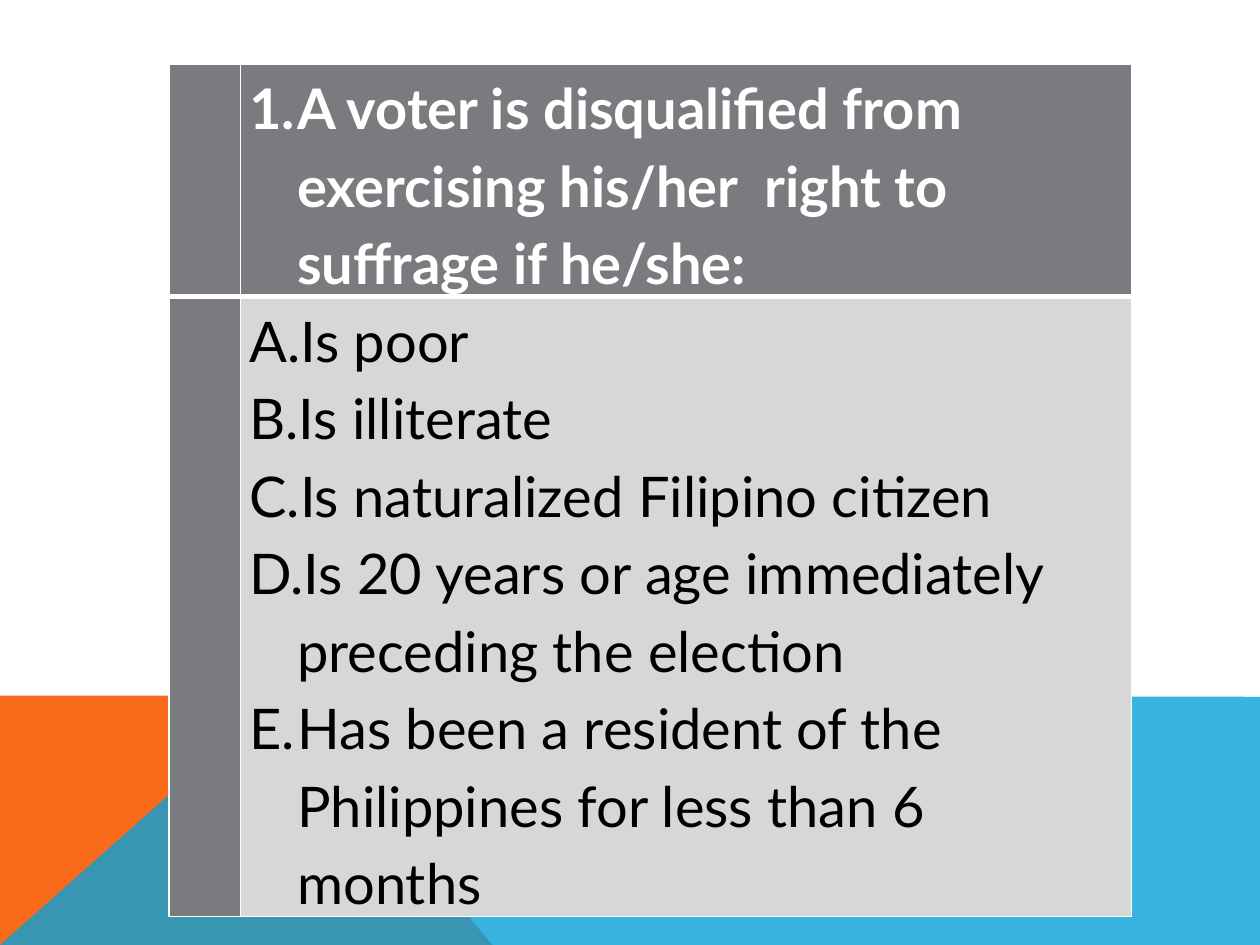
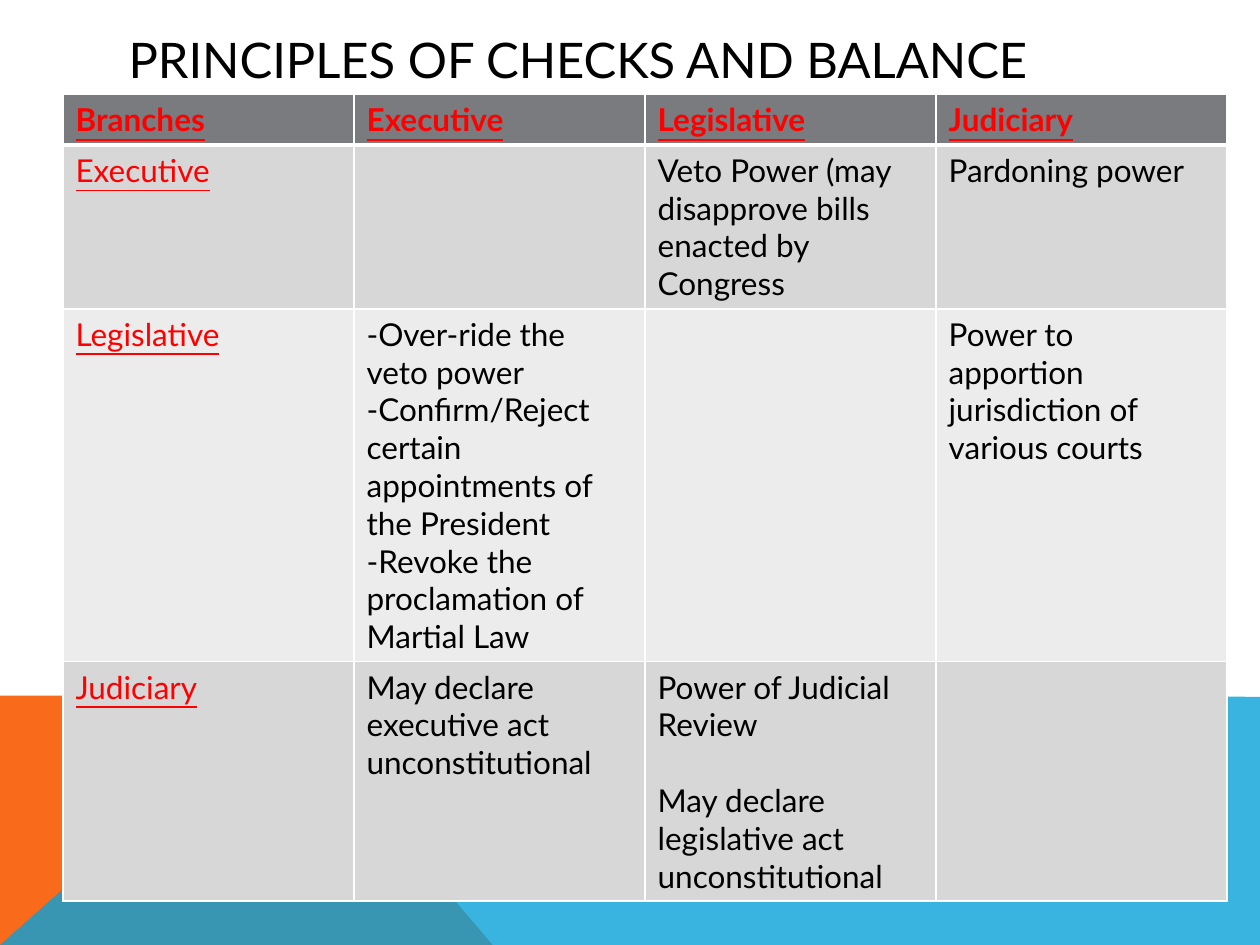
from dataclasses import dataclass
from typing import NamedTuple

from lxml.etree import SubElement
from pptx import Presentation
from pptx.dml.color import RGBColor
from pptx.enum.text import MSO_ANCHOR, MSO_AUTO_SIZE, PP_ALIGN
from pptx.oxml.ns import qn
from pptx.util import Inches, Pt


@dataclass(frozen=True)
class Theme:
    font: str = "Lato"
    white: str = "FFFFFF"
    black: str = "000000"
    red: str = "FF0000"
    head: str = "797B7E"
    dark: str = "D7D7D8"
    light: str = "ECECEC"
    orange: str = "F96A1B"
    blue: str = "08A1D9"
    title: int = 28
    quiz: int = 32
    body: int = 18
    thin: int = 1
    thick: int = 3


class Band(NamedTuple):
    color: str
    points: tuple
    alpha: int = 100


class Look(NamedTuple):
    size: int
    color: str
    bold: bool = False
    under: bool = False


class Grid(NamedTuple):
    left: float
    top: float
    cols: tuple
    rows: tuple


THEME = Theme()
BANDS = (
    Band(THEME.orange, ((0, 7.5), (0, 5.52), (2.23, 5.52), (3.91, 7.5))),
    Band(THEME.blue, ((0, 7.5), (2.23, 5.52), (10, 5.53), (10, 7.5)), 80),
)

# Slide text
ASK = ("A voter is disqualified from exercising his/her  right to suffrage if he/she:",)
CHOICES = (
    "Is poor",
    "Is illiterate",
    "Is naturalized Filipino citizen",
    "Is 20 years or age immediately preceding the election",
    "Has been a resident of the Philippines for less than 6 months",
)
POWERS = (
    (("Branches",), ("Executive",), ("Legislative",), ("Judiciary",)),
    (("Executive",), (),
     ("Veto Power (may disapprove bills enacted by Congress",),
     ("Pardoning power",)),
    (("Legislative",),
     ("-Over-ride the veto power",
      "-Confirm/Reject certain appointments of the President",
      "-Revoke the proclamation of Martial Law"),
     (),
     ("Power to apportion jurisdiction of various courts",)),
    (("Judiciary",),
     ("May declare executive act unconstitutional",),
     ("Power of Judicial Review",
      "May declare legislative act unconstitutional"),
     ()),
)


def rgb(color: str) -> RGBColor:
    return RGBColor.from_string(color)


def style(par, look: Look) -> None:
    font = par.font
    font.name, font.size = THEME.font, Pt(look.size)
    font.bold, font.underline = look.bold, look.under
    font.color.rgb = rgb(look.color)


def add_bands(slide) -> None:
    for band in BANDS:
        first, *rest = [(Inches(x), Inches(y)) for x, y in band.points]
        path = slide.shapes.build_freeform(*first)
        path.add_line_segments(rest, close=True)
        shape = path.convert_to_shape()
        shape.shadow.inherit = False
        shape.line.fill.background()
        shape.fill.solid()
        shape.fill.fore_color.rgb = rgb(band.color)
        if band.alpha < 100:
            tint = shape.fill._xPr.find(".//" + qn("a:srgbClr"))
            SubElement(tint, qn("a:alpha"), val=str(band.alpha * 1000))


def add_grid(slide, grid: Grid):
    table = slide.shapes.add_table(
        len(grid.rows), len(grid.cols), Inches(grid.left), Inches(grid.top),
        Inches(sum(grid.cols)), Inches(sum(grid.rows))).table
    table.first_row = table.horz_banding = False
    for col, width in zip(table.columns, grid.cols):
        col.width = Inches(width)
    for row, height in zip(table.rows, grid.rows):
        row.height = Inches(height)
    return table


def paint(cell, color: str, row: int) -> None:
    """Draw white borders, heavier below the header row, then the fill."""
    props = cell._tc.get_or_add_tcPr()
    heavy = {0: "B", 1: "T"}.get(row)
    for side in "LRTB":
        width = THEME.thick if side == heavy else THEME.thin
        line = SubElement(props, qn("a:ln" + side), w=str(Pt(width)))
        fill = SubElement(line, qn("a:solidFill"))
        SubElement(fill, qn("a:srgbClr"), val=THEME.white)
    cell.fill.solid()
    cell.fill.fore_color.rgb = rgb(color)


def write(cell, lines: tuple, look: Look, number: str = "") -> None:
    frame = cell.text_frame
    for i, line in enumerate(lines):
        par = frame.add_paragraph() if i else frame.paragraphs[0]
        par.text = line
        if number:
            props = par._p.get_or_add_pPr()
            props.set("marL", str(Inches(0.38)))
            props.set("indent", str(-Inches(0.38)))
            SubElement(props, qn("a:buFont"), typeface="+mj-lt")
            SubElement(props, qn("a:buAutoNum"), type=number)
            par.line_spacing = 1.15
        style(par, look)


def add_quiz(deck) -> None:
    slide = deck.slides.add_slide(deck.slide_layouts[6])
    add_bands(slide)
    table = add_grid(slide, Grid(1.34, 0.51, (0.57, 7.07), (1.83, 4.92)))
    parts = (
        (ASK, Look(THEME.quiz, THEME.white, bold=True), "arabicPeriod", THEME.head),
        (CHOICES, Look(THEME.quiz, THEME.black), "alphaUcPeriod", THEME.dark),
    )
    for r, (lines, look, number, color) in enumerate(parts):
        side, main = table.cell(r, 0), table.cell(r, 1)
        paint(side, THEME.head, r)
        paint(main, color, r)
        main.margin_left = main.margin_right = Inches(0.07)
        main.margin_top = main.margin_bottom = 0
        write(main, lines, look, number)


def add_title(slide, text: str) -> None:
    title = slide.shapes.title
    title.left, title.top = Inches(0.92), Inches(0.17)
    title.width, title.height = Inches(8.22), Inches(0.6)
    frame = title.text_frame
    frame.text = text
    frame.auto_size = MSO_AUTO_SIZE.NONE
    frame.vertical_anchor = MSO_ANCHOR.MIDDLE
    par = frame.paragraphs[0]
    par.alignment = PP_ALIGN.LEFT
    style(par, Look(THEME.title, THEME.black))


def add_powers(deck) -> None:
    slide = deck.slides.add_slide(deck.slide_layouts[5])
    add_bands(slide)
    add_title(slide, "PRINCIPLES OF CHECKS AND BALANCE")
    table = add_grid(slide, Grid(0.5, 0.75, (2.31,) * 4, (0.4, 1.3, 2.8, 1.9)))
    fills = (THEME.head, THEME.dark, THEME.light, THEME.dark)
    for r, row in enumerate(POWERS):
        for c, lines in enumerate(row):
            label = r == 0 or c == 0
            look = Look(THEME.body, THEME.red if label else THEME.black,
                        bold=r == 0, under=label)
            paint(table.cell(r, c), fills[r], r)
            write(table.cell(r, c), lines, look)
    # One line of space between the two judicial powers
    review = table.cell(3, 2).text_frame
    review.paragraphs[1].space_before = Pt(21.6)


def main() -> None:
    deck = Presentation()
    deck.slide_width, deck.slide_height = Inches(10), Inches(7.5)
    add_quiz(deck)
    add_powers(deck)
    deck.save("out.pptx")


if __name__ == "__main__":
    main()
